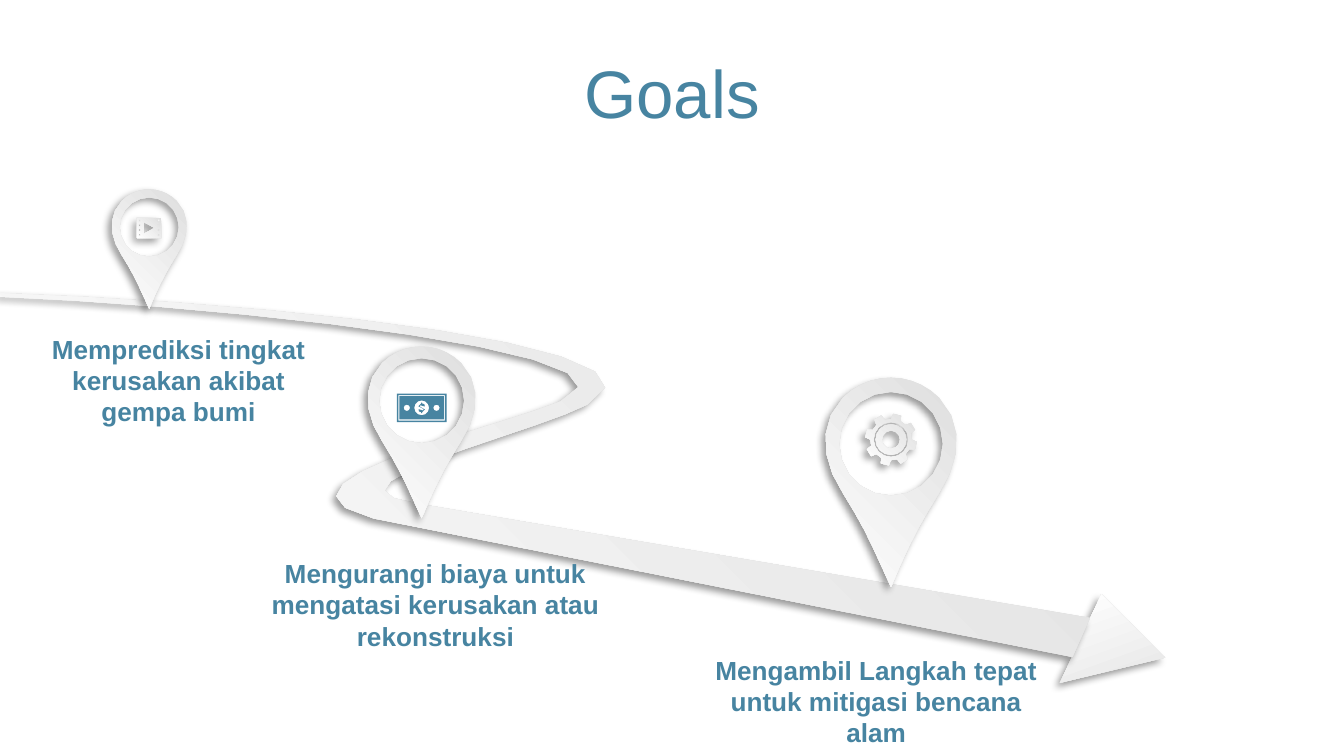
from math import cos, sin, radians
from lxml.etree import SubElement
from pptx import Presentation
from pptx.dml.color import RGBColor
from pptx.enum.shapes import MSO_SHAPE
from pptx.enum.text import MSO_ANCHOR, MSO_AUTO_SIZE, PP_ALIGN
from pptx.oxml.ns import qn
from pptx.util import Cm, Pt

BLUE = "4784A1"

# A step is a point (line) or three points (curve); all in centimetres
ROAD = [
    (0, 5.54),
    ((5.23, 5.72), (13.18, 6.55), (11.1, 7.65)),
    ((9.98, 8.23), (5.61, 9.22), (7.95, 9.53)),
    (20.6, 11.68), (20.27, 12.42), (7.06, 9.8),
    ((4.6, 9.17), (9.27, 8.13), (10.59, 7.59)),
    ((12.73, 6.68), (4.37, 5.79), (0, 5.61)),
]
PIN = [
    (0, 0),
    ((0.33, 0), (0.66, 0.13), (0.91, 0.38)),
    ((1.4, 0.89), (1.3, 1.6), (0.91, 2.18)),
    ((0.51, 2.82), (0.33, 3.18), (0, 3.96)),
    ((-0.38, 3.12), (-0.48, 2.87), (-0.91, 2.18)),
    ((-1.3, 1.6), (-1.4, 0.89), (-0.91, 0.38)),
    ((-0.66, 0.13), (-0.33, 0), (0, 0)),
]
DOLLAR_HALF = [
    (0.06, -0.03), (0.05, -0.07), (0.01, -0.08), (0.01, -0.1), (-0.01, -0.1),
    (-0.01, -0.08), (-0.06, -0.03), (0.03, 0.02), (0.03, 0.05), (-0.04, 0.03),
]
# Pin top, pin scale, icon, icon centre, text, text box
GOALS = [
    ((16.84, 7.14), 1, "gear", (16.84, 8.31),
     "Mengambil Langkah tepat untuk mitigasi bencana alam",
     (13.08, 12.24, 6.96, 2.06)),
    ((7.97, 6.55), 0.82, "note", (7.97, 7.71),
     "Mengurangi biaya untuk mengatasi kerusakan atau rekonstruksi",
     (4.27, 10.41, 7.92, 2.06)),
    ((2.82, 3.58), 0.57, "film", (2.82, 4.31),
     "Memprediksi tingkat kerusakan akibat gempa bumi",
     (0.38, 6.17, 5.99, 2.06)),
]


def color(code):
    return RGBColor.from_string(code)


def trace(steps, parts):
    """Turn lines and cubic curves into a list of points."""
    points = [steps[0]]
    for step in steps[1:]:
        if not isinstance(step[0], tuple):
            points.append(step)
            continue
        knots = (points[-1],) + step
        for i in range(1, parts + 1):
            t = i / parts
            u = 1 - t
            mix = (u ** 3, 3 * u * u * t, 3 * u * t * t, t ** 3)
            points.append(tuple(sum(m * k[axis] for m, k in zip(mix, knots))
                                for axis in (0, 1)))
    return points


def polar(radius, angle):
    return radius * cos(radians(angle)), radius * sin(radians(angle))


def ring(radius, x=0, y=0, count=12):
    spots = [polar(radius, 360 * i / count) for i in range(count)]
    return [(x + dx, y + dy) for dx, dy in spots]


def box(x, y, wide, high):
    return [(x, y), (x + wide, y), (x + wide, y + high), (x, y + high)]


def gear():
    teeth = [polar(r, 14 + 45 * i + turn) for i in range(8)
             for r, turn in ((0.39, -14), (0.49, -9), (0.49, 9), (0.39, 14))]
    return [teeth, ring(0.33, count=16), ring(0.29, count=16), ring(0.17)]


def note():
    frames = [box(gap - 0.47, gap - 0.27, 0.94 - 2 * gap, 0.54 - 2 * gap)
              for gap in (0, 0.03, 0.05)]
    dollar = DOLLAR_HALF + [(-x, -y) for x, y in DOLLAR_HALF]
    dots = [ring(0.06, x, count=8) for x in (-0.28, 0.28)]
    return frames + [ring(0.14), dollar] + dots


def film():
    holes = [box(x, 0.09 * i - 0.16, 0.04, 0.04)
             for x in (-0.2, 0.16) for i in range(4)]
    play = [(-0.1, -0.11), (-0.1, 0.11), (0.1, 0)]
    return [box(-0.23, -0.19, 0.46, 0.38), play] + holes


def draw(outlines, origin=(0, 0), scale=1):
    """Build one shape from closed outlines; inner ones cut holes."""
    placed = [[(Cm(origin[0] + scale * x), Cm(origin[1] + scale * y))
               for x, y in line] for line in outlines]
    pen = shapes.build_freeform(*placed[0][0])
    for i, line in enumerate(placed):
        if i:
            pen.move_to(*line[0])
        pen.add_line_segments(line[1:], close=True)
    return pen.convert_to_shape()


def paint(shape, flat=None):
    """Fill flat, or with the grey gradient and a soft shadow."""
    shape.line.fill.background()
    shape.shadow.inherit = False
    if flat:
        shape.fill.solid()
        shape.fill.fore_color.rgb = color(flat)
        return
    shape.fill.gradient()
    shape.fill.gradient_angle = 225
    for stop, code in zip(shape.fill.gradient_stops, ("DEDEDE", "FFFFFF")):
        stop.color.rgb = color(code)
    effects = shape.element.spPr.find(qn("a:effectLst"))
    shade = SubElement(effects, qn("a:outerShdw"), blurRad=str(Pt(4)),
                       dist=str(Pt(3)), dir=str(135 * 60000), algn="tr",
                       rotWithShape="0")
    black = SubElement(shade, qn("a:srgbClr"), val="000000")
    SubElement(black, qn("a:alpha"), val="40000")


def write(frame, text, size, bold):
    frame.word_wrap = True
    para = frame.paragraphs[0]
    para.alignment = PP_ALIGN.CENTER
    run = para.add_run()
    run.text = text
    run.font.name = "Arial"
    run.font.size = Pt(size)
    run.font.bold = bold
    run.font.color.rgb = color(BLUE)


deck = Presentation()
deck.slide_width, deck.slide_height = Cm(25.4), Cm(14.29)
slide = deck.slides.add_slide(deck.slide_layouts[5])
shapes = slide.shapes

title = shapes.title
title.left, title.top, title.width, title.height = (
    Cm(0), Cm(0.94), Cm(25.4), Cm(1.6))
title.text_frame.vertical_anchor = MSO_ANCHOR.MIDDLE
write(title.text_frame, "Goals", 36, False)

head = shapes.add_shape(MSO_SHAPE.ISOSCELES_TRIANGLE,
                        Cm(20.22), Cm(11.61), Cm(1.85), Cm(1.6))
head.adjustments[0] = 0.31
head.rotation = 115.1
paint(head)
paint(draw([trace(ROAD, 10)]))

icons = {"gear": gear, "note": note, "film": film}
for top, scale, icon, centre, text, place in GOALS:
    hole = ring(0.98, 0, 1.25, 20)
    paint(draw([trace(PIN, 5), hole], top, scale))
    paint(draw(icons[icon](), centre), BLUE if icon == "note" else None)
    label = shapes.add_textbox(*map(Cm, place)).text_frame
    label.auto_size = MSO_AUTO_SIZE.SHAPE_TO_FIT_TEXT
    write(label, text, 14, True)

deck.save("out.pptx")
